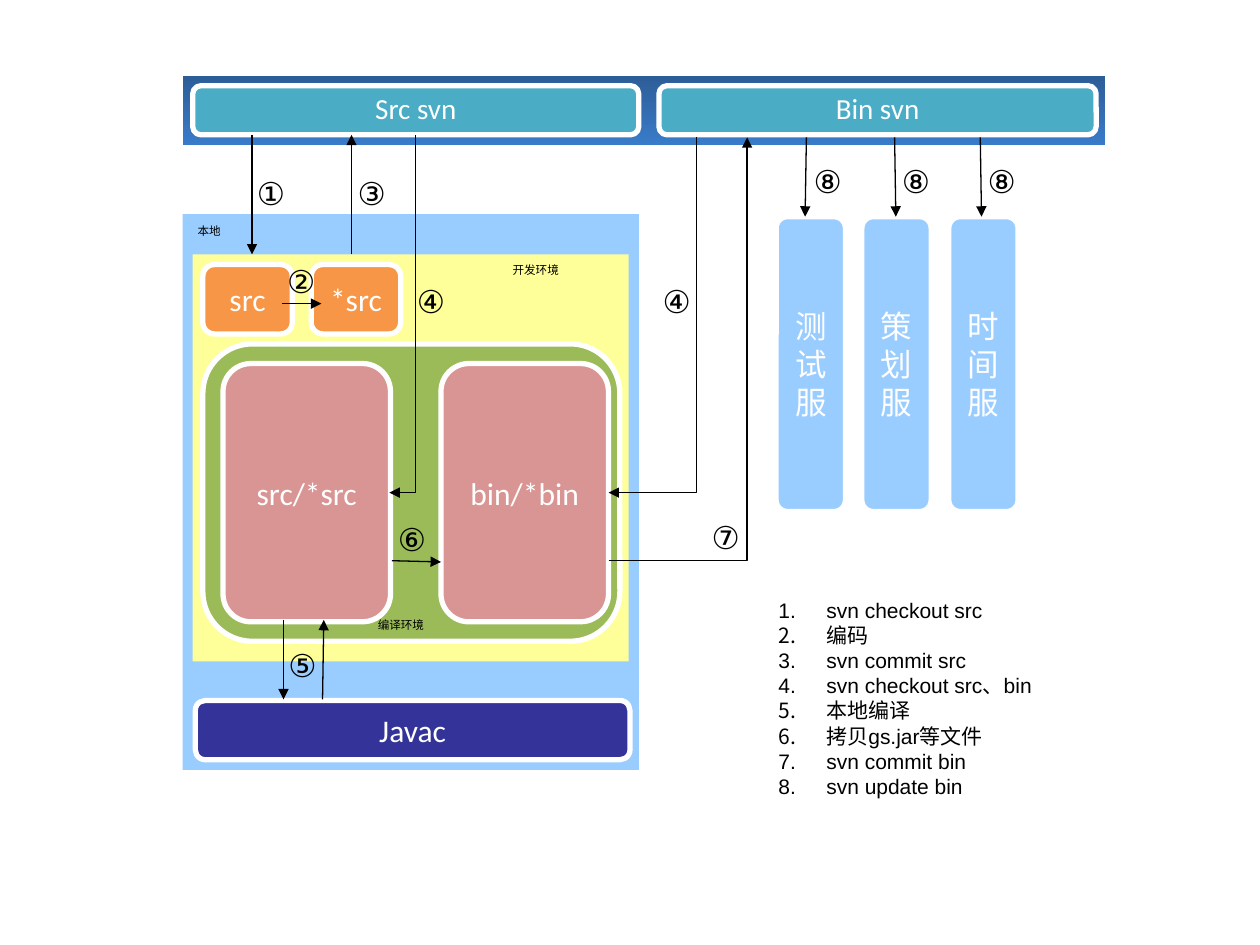
from pptx import Presentation
from pptx.dml.color import RGBColor
from pptx.enum.shapes import MSO_CONNECTOR as Conn, MSO_SHAPE as Shape
from pptx.enum.text import MSO_ANCHOR as Anchor, MSO_AUTO_SIZE as Auto, PP_ALIGN as Align
from pptx.oxml.ns import qn
from pptx.util import Emu, Pt
from lxml.etree import SubElement

PX = 9144  # 100 px to the inch
CJK = "Noto Sans CJK SC"
STEPS = ["svn checkout src", "编码", "svn commit src", "svn checkout src、bin",
         "本地编译", "拷贝gs.jar等文件", "svn commit bin", "svn update bin"]


def px(*values):
    return [Emu(round(v * PX)) for v in values]


def rgb(hex_color):
    return RGBColor.from_string(hex_color)


def write(sp, lines, size, color, font, align, ea=CJK, **frame):
    """Fill the text frame, one paragraph for each line."""
    tf = sp.text_frame
    for name, value in {"word_wrap": True, **frame}.items():
        setattr(tf, name, value)
    for i, line in enumerate(lines):
        p = tf.paragraphs[0] if i == 0 else tf.add_paragraph()
        p.alignment = align
        r = p.add_run()
        r.text = line
        for name, value in {"size": Pt(size), "name": font}.items():
            setattr(r.font, name, value)
        r.font.color.rgb = rgb(color)
        SubElement(r.font._element, qn("a:ea"), typeface=ea)
    return tf


def panel(s, x, y, w, h, color):
    sp = s.shapes.add_shape(Shape.RECTANGLE, *px(x, y, w, h))
    sp.shadow.inherit = False
    sp.fill.solid()
    sp.fill.fore_color.rgb = rgb(color)
    sp.line.fill.background()
    return sp


def block(s, x, y, w, h, color, lines=(), size=18):
    """Rounded box with a white outline and centred white text."""
    sp = s.shapes.add_shape(Shape.ROUNDED_RECTANGLE, *px(x, y, w, h))
    sp.shadow.inherit = False
    sp.fill.solid()
    sp.fill.fore_color.rgb = rgb(color)
    sp.line.color.rgb = rgb("FFFFFF")
    sp.line.width = Pt(3)
    return write(sp, lines, size, "FFFFFF", "Calibri", Align.CENTER,
                 vertical_anchor=Anchor.MIDDLE)


def caption(s, x, y, text):
    sp = s.shapes.add_textbox(*px(x, y, 102, 22))
    write(sp, [text], 6.6, "000000", "Arial", Align.LEFT, vertical_anchor=Anchor.MIDDLE)


def number(s, x, y, text):
    sp = s.shapes.add_textbox(*px(x, y, 45, 40))
    write(sp, [text], 18, "000000", "Arial", Align.LEFT, ea="Arial",
          word_wrap=False, auto_size=Auto.SHAPE_TO_FIT_TEXT)


def arrow(s, x1, y1, x2, y2, kind=Conn.STRAIGHT):
    c = s.shapes.add_connector(kind, *px(x1, y1, x2, y2))
    c.line.color.rgb = rgb("000000")
    c.line.width = Pt(0.75)
    SubElement(c.line._get_or_add_ln(), qn("a:tailEnd"), type="triangle")
    SubElement(c._element.spPr, qn("a:effectLst"))
    return c


def elbow(s, x1, y1, x2, y2):
    """One-corner arrow: across then up, or down then left when it descends."""
    c = arrow(s, x1, y1, x2, y2, Conn.ELBOW)
    sppr = c._element.spPr
    sppr.find(qn("a:prstGeom")).set("prst", "bentConnector2")
    if y2 > y1:
        w, h = y2 - y1, x1 - x2
        c.left, c.top, c.width, c.height = px(
            (x1 + x2 - w) / 2, (y1 + y2 - h) / 2, w, h)
        xfrm = sppr.find(qn("a:xfrm"))
        xfrm.attrib.pop("flipH", None)
        xfrm.set("rot", "5400000")


def repositories(s, x, y, w, h):
    bar = panel(s, x, y, w, h, "FFFFFF")
    bar.fill.gradient()
    bar.fill.gradient_angle = 270
    for stop, color in zip(bar.fill.gradient_stops, ("2D5D97", "397BC9")):
        stop.color.rgb = rgb(color)
    for dx, width, name in ((8, 354, "Src svn"), (378, 347, "Bin svn")):
        tf = block(s, x + dx, y + 8, width, 39, "4BACC6", [name], 16.6)
        tf.paragraphs[0].line_spacing = 0.9


def local_machine(s, x, y, w, h):
    panel(s, x, y, w, h, "99CCFF")
    block(s, x + 10, y + 386, 345, 47, "333399", ["Javac"])
    panel(s, x + 8, y + 32, 346, 323, "FFFF99")
    for dx, name in ((16, "src"), (102, "*src")):
        block(s, x + dx, y + 40, 71, 55, "F79646", [name])
    block(s, x + 16, y + 103, 331, 236, "9BBB59")
    for dx, name in ((32, "src/*src"), (205, "bin/*bin")):
        block(s, x + dx, y + 118.5, 133, 205, "D99593", [name])
    for dx, dy, name in ((2, 2, "本地"), (252, 33, "开发环境"), (145, 315, "编译环境")):
        caption(s, x + dx, y + dy, name)


def servers(s, x, y, w, h):
    """Three server columns, each fed by an update arrow from above."""
    names = (["测", "试", "服"], ["策划", "服"], ["时间", "服"])
    for dx, name in zip((0, 68, 137), names):
        block(s, x + dx, y, w, h, "99CCFF", name)
    for dx in (24, 94, 162):
        arrow(s, x + dx, y - 63, x + dx + (1 if dx > 24 else -1), y)
        number(s, x + dx - 4, y - 48, "⑧")


def flows(s, x, y):
    """Numbered arrows between the repositories and the local machine."""
    for line in ((55, 47, 55, 142), (134, 142, 134, 47), (79, 181, 110, 181),
                 (80, 432, 80, 495), (111, 495, 112, 432), (166, 385, 205, 386)):
        arrow(s, *(v + o for v, o in zip(line, (x, y, x, y))))
    for line in ((185, 47, 164, 331), (408, 49, 338, 331), (338, 385, 448, 49)):
        elbow(s, *(v + o for v, o in zip(line, (x, y, x, y))))
    for dx, dy, text in ((49, 73, "①"), (73, 143, "②"), (129, 73, "③"),
                         (176, 159, "④"), (371, 159, "④"), (74, 448, "⑤"),
                         (161, 348, "⑥"), (410, 346, "⑦")):
        number(s, x + dx, y + dy, text)


def step_list(s, x, y, w, h):
    sp = s.shapes.add_textbox(*px(x, y, w, h))
    tf = write(sp, STEPS, 12, "000000", "Arial", Align.LEFT,
               auto_size=Auto.SHAPE_TO_FIT_TEXT)
    indent = px(38)[0]
    for p in tf.paragraphs:
        ppr = p._p.get_or_add_pPr()
        for name, value in {"marL": indent, "indent": -indent}.items():
            ppr.set(name, str(value))
        SubElement(ppr, qn("a:buFont"), typeface="Arial")
        SubElement(ppr, qn("a:buAutoNum"), type="arabicPeriod")


def main():
    prs = Presentation()
    prs.slide_width, prs.slide_height = px(1000, 750)
    s = prs.slides.add_slide(prs.slide_layouts[6])
    repositories(s, 145, 60, 732, 55)
    local_machine(s, 145, 170, 362, 441)
    servers(s, 616, 172, 55, 234)
    flows(s, 145, 60)
    step_list(s, 608, 469, 242, 170)
    prs.save("out.pptx")


if __name__ == "__main__":
    main()
